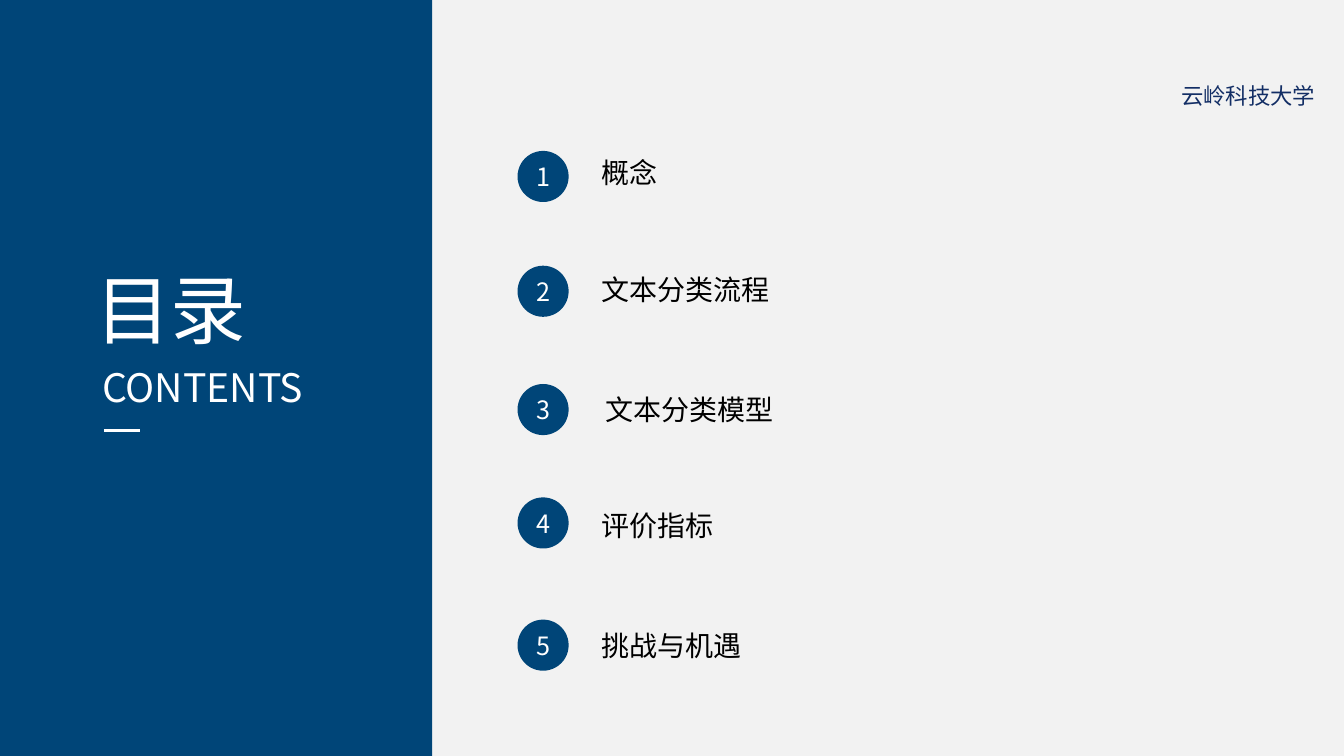
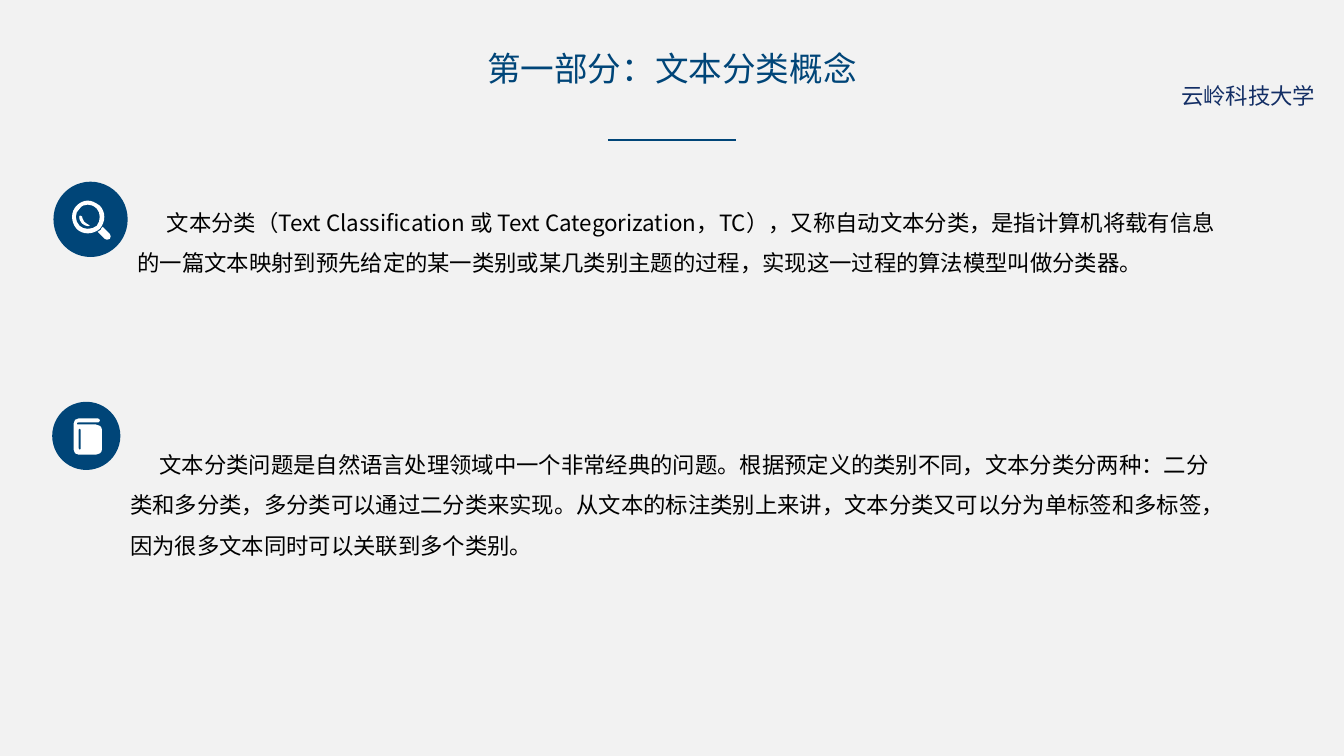
import pptx
import pptx.util
import pptx.dml.color
import pptx.enum.lang
import pptx.enum.shapes
import pptx.enum.text
import pptx.oxml
import pptx.oxml.ns
import lxml.etree
from dataclasses import dataclass

Pt = pptx.util.Pt
qn = pptx.oxml.ns.qn
Align = pptx.enum.text.PP_ALIGN
Shape = pptx.enum.shapes.MSO_SHAPE
NAMESPACE = pptx.oxml.ns.nsdecls("a")


@dataclass(frozen=True)
class Theme:
    font: str = "Noto Sans CJK SC"
    paper: str = "F2F2F2"
    navy: str = "004578"
    label: str = "132E65"
    ink: str = "000000"
    white: str = "FFFFFF"
    hero: int = 54
    subtitle: int = 28
    title: int = 24
    item: int = 20
    number: int = 18
    body: int = 16


THEME = Theme()
WIDTH, HEIGHT = 960, 540
SCHOOL = "云岭科技大学"

# Contents: label, number top, label left offset, label top
ITEMS = [
    ("概念", 107.8, 0, 107.5),
    ("文本分类流程", 189.8, 0, 191),
    ("文本分类模型", 274.3, 2.9, 276.7),
    ("评价指标", 355.3, 0, 359.8),
    ("挑战与机遇", 442.6, 0, 445.4),
]

DEFINITION = (
    "文本分类（Text Classification 或 Text Categorization，TC），又称自动文本分类，"
    "是指计算机将载有信息的一篇文本映射到预先给定的某一类别或某几类别主题的过程，"
    "实现这一过程的算法模型叫做分类器。"
)
KINDS = (
    "文本分类问题是自然语言处理领域中一个非常经典的问题。根据预定义的类别不同，"
    "文本分类分两种：二分类和多分类，多分类可以通过二分类来实现。"
    "从文本的标注类别上来讲，文本分类又可以分为单标签和多标签，"
    "因为很多文本同时可以关联到多个类别。"
)

# Icons: grid size, then contours of a start point, lines (2 numbers)
# and cubic curves (6 numbers)
ICON_UNIT = 0.72
MAGNIFIER = (39, 39), [
    [(31, 26), (38, 33), (39, 34, 39, 37, 38, 38), (36, 39, 34, 39, 33, 38),
     (26, 31), (27, 30, 28, 30, 29, 29), (29, 28, 30, 27, 31, 26)],
    [(9, 15), (10, 15, 11, 16, 11, 18), (12, 23, 19, 24, 18, 25),
     (17, 26, 10, 25, 8, 19), (8, 17, 7, 15, 8, 15)],
    [(16, 4), (13, 4, 10, 5, 8, 8), (3, 12, 3, 20, 8, 25),
     (12, 29, 20, 29, 25, 25), (29, 20, 29, 12, 25, 8), (22, 5, 19, 4, 16, 4)],
    [(16, 0), (20, 0, 24, 2, 28, 5), (34, 11, 34, 21, 28, 28),
     (21, 34, 11, 34, 5, 28), (-1, 21, -1, 11, 5, 5), (8, 2, 12, 0, 16, 0)],
]
BOOK = (28, 36), [
    [(22, 6), (5, 6), (4, 6, 3, 6, 3, 5), (3, 4, 4, 4, 5, 4), (24, 4),
     (25, 4, 26, 3, 26, 2), (26, 1, 25, 0, 24, 0), (5, 0), (2, 0, 0, 2, 0, 5),
     (0, 31), (0, 34, 2, 36, 5, 36), (22, 36), (25, 36, 28, 34, 28, 31),
     (28, 11), (28, 8, 25, 6, 22, 6)],
    [(7, 29), (7, 30, 7, 31, 6, 31), (5, 31, 5, 30, 5, 29), (5, 11),
     (5, 11, 5, 10, 6, 10), (7, 10, 7, 11, 7, 11)],
]


def rgb(value):
    return pptx.dml.color.RGBColor.from_string(value)


def apply(target, values):
    for name, value in values.items():
        setattr(target, name, value)


def write(frame, text, size, color, **para_format):
    """Put one styled paragraph into a text frame."""
    para = frame.paragraphs[0]
    apply(para, para_format)
    span = para.add_run()
    span.text = text
    apply(span.font, {
        "name": THEME.font, "size": Pt(size),
        "language_id": pptx.enum.lang.MSO_LANGUAGE_ID.SIMPLIFIED_CHINESE,
    })
    span.font.color.rgb = rgb(color)
    east_asian = pptx.oxml.parse_xml(
        f'<a:ea {NAMESPACE} typeface="{THEME.font}"/>')
    span.font._element.find(qn("a:latin")).addnext(east_asian)
    return para


def add_text(page, box, text, size, color, **para_format):
    frame = page.shapes.add_textbox(*map(Pt, box)).text_frame
    apply(frame, {
        "word_wrap": True,
        "auto_size": pptx.enum.text.MSO_AUTO_SIZE.SHAPE_TO_FIT_TEXT,
    })
    return write(frame, text, size, color, **para_format)


def paint(shape, color):
    shape.shadow.inherit = False
    shape.fill.solid()
    shape.fill.fore_color.rgb = rgb(color)
    shape.line.fill.background()
    return shape


def add_block(page, kind, box, color):
    return paint(page.shapes.add_shape(kind, *map(Pt, box)), color)


def add_rule(page, left, top, width, color, weight):
    line = page.shapes.add_connector(
        pptx.enum.shapes.MSO_CONNECTOR.STRAIGHT,
        Pt(left), Pt(top), Pt(left + width), Pt(top))
    line.line.color.rgb = rgb(color)
    line.line.width = Pt(weight)
    line._element.spPr.append(
        pptx.oxml.parse_xml(f"<a:effectLst {NAMESPACE}/>"))


def add_step(outline, tag, numbers=()):
    """Append one drawing step with its points to an outline."""
    step = lxml.etree.SubElement(outline, qn(tag))
    for x, y in zip(numbers[::2], numbers[1::2]):
        lxml.etree.SubElement(step, qn("a:pt"), {
            "x": str(Pt(x * ICON_UNIT)), "y": str(Pt(y * ICON_UNIT))})


def add_icon(page, left, top, icon, color):
    """Freeform of the icon's size, its outline filled with true curves."""
    (columns, rows), contours = icon
    right, bottom = left + columns * ICON_UNIT, top + rows * ICON_UNIT
    builder = page.shapes.build_freeform(Pt(left), Pt(top))
    builder.add_line_segments([(Pt(right), Pt(top)), (Pt(right), Pt(bottom))])
    shape = paint(builder.convert_to_shape(), color)
    outline = next(shape._element.iter(qn("a:path")))
    for step in list(outline):
        outline.remove(step)
    for start, *segments in contours:
        add_step(outline, "a:moveTo", start)
        for segment in segments:
            tag = "a:lnTo" if len(segment) == 2 else "a:cubicBezTo"
            add_step(outline, tag, segment)
        add_step(outline, "a:close")


def new_page(deck):
    """Blank page with the shared background and school label."""
    page = deck.slides.add_slide(deck.slide_layouts[6])
    page.background.fill.solid()
    page.background.fill.fore_color.rgb = rgb(THEME.paper)
    add_text(page, (836.6, 55.2, 113.8, 26.6), SCHOOL, THEME.body, THEME.label)
    return page


def contents_band(page, box):
    left, top = box[:2]
    add_block(page, Shape.RECTANGLE, box, THEME.navy)
    add_text(page, (left + 60.9, top + 184.3, 128.2, 72.7), "目录",
             THEME.hero, THEME.white, alignment=Align.JUSTIFY)
    add_text(page, (left + 65.9, top + 256.3, 176.4, 41), "CONTENTS",
             THEME.subtitle, THEME.white, alignment=Align.JUSTIFY)
    add_rule(page, left + 74.2, top + 307.4, 25.9, THEME.white, 2.25)


def contents_list(page, left, items):
    for number, (label, dot_top, shift, label_top) in enumerate(items, 1):
        dot = add_block(page, Shape.OVAL, (left, dot_top, 36.5, 36.5), THEME.navy)
        dot.text_frame.vertical_anchor = pptx.enum.text.MSO_ANCHOR.MIDDLE
        write(dot.text_frame, str(number), THEME.number, THEME.white,
              alignment=Align.CENTER)
        add_text(page, (left + 53 + shift, label_top, 230, 31.7), label,
                 THEME.item, THEME.ink)


def section_title(page, box, text):
    left, top, width, _ = box
    add_text(page, box, text, THEME.title, THEME.navy, alignment=Align.CENTER)
    add_rule(page, left + (width - 91.4) / 2, top + 69.1, 91.4, THEME.navy, 1.5)


def icon_paragraph(page, badge, icon, icon_offset, text_box, text):
    add_block(page, Shape.OVAL, badge, THEME.navy)
    add_icon(page, badge[0] + icon_offset[0], badge[1] + icon_offset[1],
             icon, THEME.white)
    para = add_text(page, text_box, text, THEME.body, THEME.ink, line_spacing=1.5)
    para._p.get_or_add_pPr().set("indent", str(Pt(20.9)))


def contents_page(deck):
    page = new_page(deck)
    contents_band(page, (0, 0, 308.7, HEIGHT))
    contents_list(page, 369.7, ITEMS)


def concept_page(deck):
    page = new_page(deck)
    section_title(page, (284.8, 31, 390.2, 36), "第一部分：文本分类概念")
    icon_paragraph(page, (38.2, 129.8, 53, 53.8), MAGNIFIER, (12.9, 13.5),
                   (91.2, 136.4, 788.4, 91.4), DEFINITION)
    icon_paragraph(page, (37.3, 287, 48.7, 48.7), BOOK, (15.3, 11.9),
                   (86, 309.2, 787.7, 94.3), KINDS)


def main():
    deck = pptx.Presentation()
    apply(deck, {"slide_width": Pt(WIDTH), "slide_height": Pt(HEIGHT)})
    contents_page(deck)
    concept_page(deck)
    deck.save("out.pptx")


if __name__ == "__main__":
    main()
